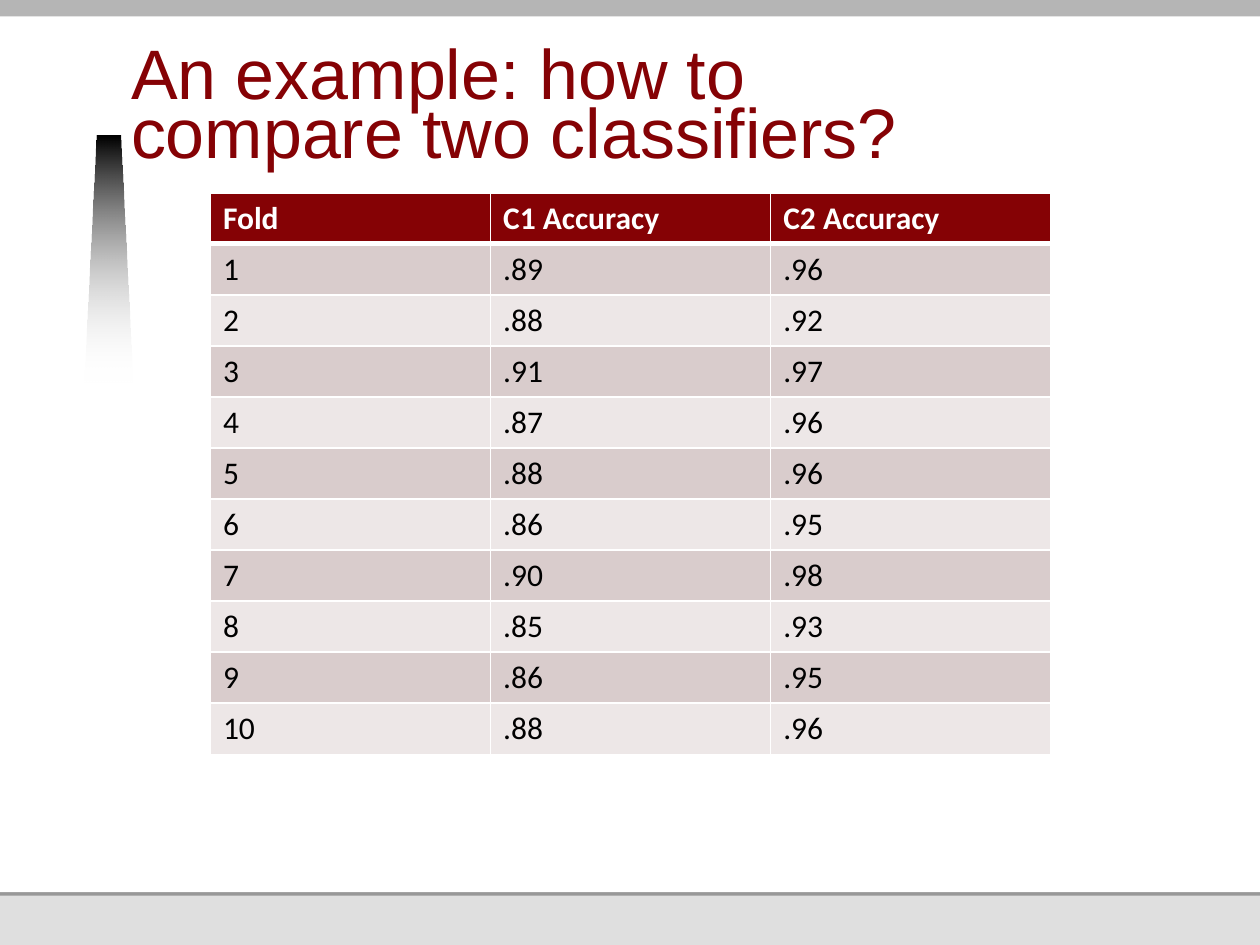
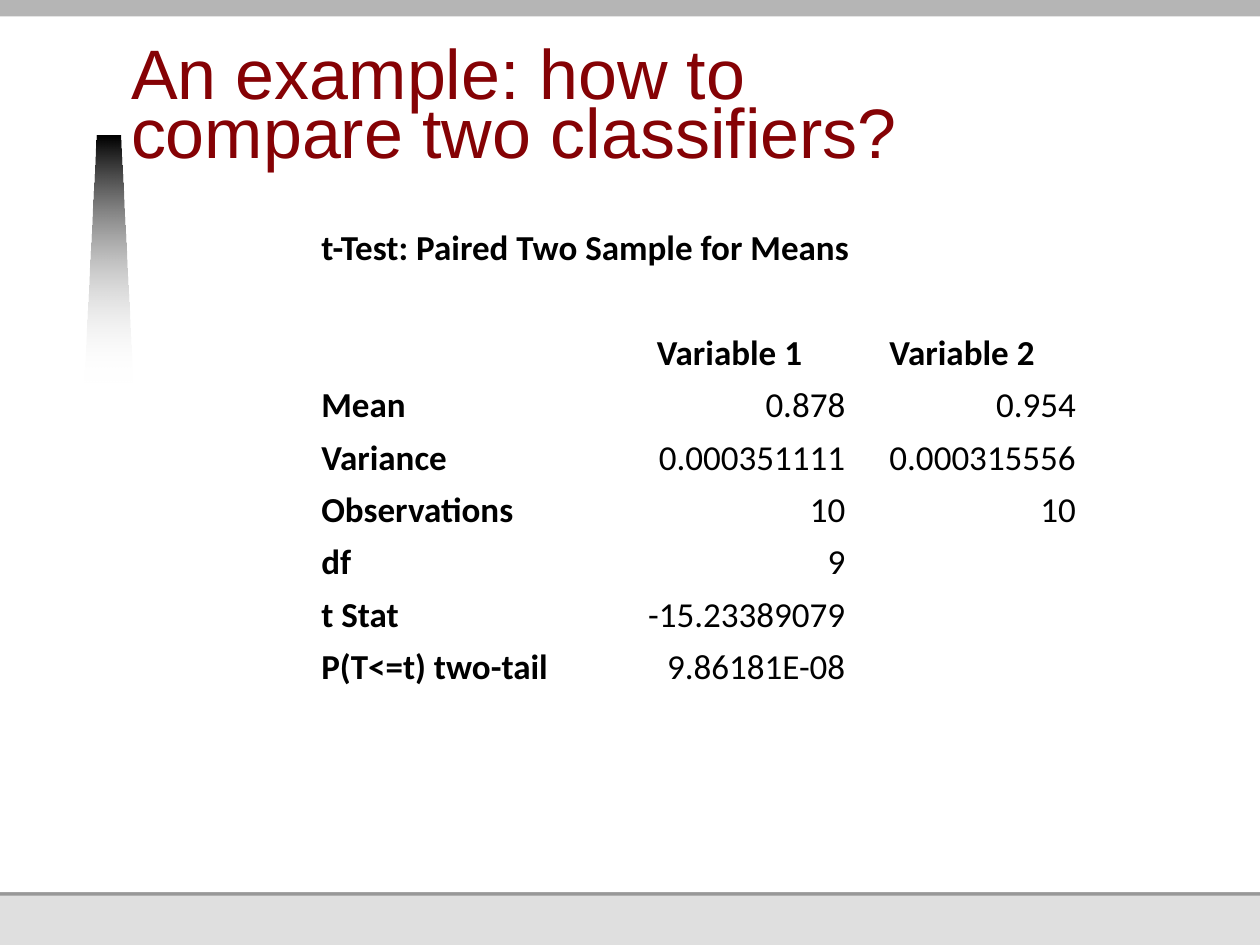
from dataclasses import dataclass

from lxml.etree import SubElement
from pptx import Presentation
from pptx.dml.color import RGBColor
from pptx.enum.shapes import MSO_SHAPE
from pptx.enum.text import MSO_ANCHOR, PP_ALIGN
from pptx.oxml.ns import qn
from pptx.util import Inches, Pt


@dataclass(frozen=True)
class Theme:
    """Colours, fonts and type sizes of the deck."""
    accent: str = "850205"
    text: str = "000000"
    paper: str = "FFFFFF"
    footer: str = "DFDFDF"
    rule: str = "989898"
    top_band: str = "B5B5B5"
    odd_row: str = "D9CCCC"
    even_row: str = "EDE7E7"
    title_font: str = "Arial"
    body_font: str = "Calibri"
    title_size: int = 40
    title_leading: int = 34
    fold_size: int = 18
    test_size: int = 20


THEME = Theme()
PLAIN_TABLE = "{2D5ABB26-0587-4C30-8999-92F81FD0307C}"
TITLE = "An example: how to compare two classifiers?"
FOLD_HEADER = ("Fold", "C1 Accuracy", "C2 Accuracy")
FOLD_ACCURACIES = (
    (".89", ".96"), (".88", ".92"), (".91", ".97"), (".87", ".96"), (".88", ".96"),
    (".86", ".95"), (".90", ".98"), (".85", ".93"), (".86", ".95"), (".88", ".96"),
)
TEST_ROWS = (
    ("t-Test: Paired Two Sample for Means", "", ""),
    ("", "", ""),
    ("", "Variable 1", "Variable 2"),
    ("Mean", "0.878", "0.954"),
    ("Variance", "0.000351111", "0.000315556"),
    ("Observations", "10", "10"),
    ("df", "9", ""),
    ("t Stat", "-15.23389079", ""),
    ("P(T<=t) two-tail", "9.86181E-08", ""),
)
TEST_HEADER_ROW = 2


def colour(code):
    """Turn a hex code into a colour."""
    return RGBColor.from_string(code)


def lengths(box):
    """Turn a box given in inches into lengths."""
    return [Inches(value) for value in box]


def style_font(font, name, size, code, bold=False):
    """Set the look of a font."""
    font.name, font.size, font.bold = name, Pt(size), bold
    font.color.rgb = colour(code)


def add_band(page, box, code):
    """Add a flat rectangle without outline."""
    band = page.shapes.add_shape(MSO_SHAPE.RECTANGLE, *lengths(box))
    band.shadow.inherit = False
    band.fill.solid()
    band.fill.fore_color.rgb = colour(code)
    band.line.fill.background()


def add_beam(page, box):
    """Add the tapering beam that fades out downwards."""
    left, top, width, height = box
    inset = width / 4
    corners = [
        (left + inset, top), (left + width - inset, top),
        (left + width, top + height), (left, top + height),
    ]
    points = [tuple(lengths(corner)) for corner in corners]
    builder = page.shapes.build_freeform(*points[0])
    builder.add_line_segments(points[1:], close=True)
    beam = builder.convert_to_shape()
    beam.shadow.inherit = False
    beam.line.fill.background()
    beam.fill.gradient()
    beam.fill.gradient_angle = 270
    for stop, code in zip(beam.fill.gradient_stops, (THEME.text, THEME.paper)):
        stop.color.rgb = colour(code)
    faded = list(beam.element.iter(qn("a:srgbClr")))[-1]
    SubElement(faded, qn("a:alpha"), val="0")


def add_title(page, box, text):
    """Add the slide title, resting on the bottom of its box."""
    frame = page.shapes.add_textbox(*lengths(box)).text_frame
    frame.word_wrap = True
    frame.vertical_anchor = MSO_ANCHOR.BOTTOM
    frame.margin_left = frame.margin_right = frame.margin_top = 0
    frame.margin_bottom = Inches(0.05)
    frame.text = text
    para = frame.paragraphs[0]
    para.line_spacing = Pt(THEME.title_leading)
    style_font(para.font, THEME.title_font, THEME.title_size, THEME.accent)


def add_page(deck):
    """Add a slide with the shared bands, beam and title."""
    page = deck.slides.add_slide(deck.slide_layouts[6])
    add_band(page, (0, 0, 10, 7.5), THEME.footer)
    add_band(page, (0, 1.78, 10, 5.33), THEME.rule)
    add_band(page, (0, 0, 10, 7.08), THEME.paper)
    add_beam(page, (0.67, 1.08, 0.38, 1.96))
    add_band(page, (0, 0, 10, 0.13), THEME.top_band)
    add_title(page, (1.04, 0.34, 6.87, 1.08), TITLE)
    return page


def add_plain_table(page, box, rows):
    """Add an unstyled table with even rows and fill in its wording."""
    holder = page.shapes.add_table(len(rows), len(rows[0]), *lengths(box))
    next(holder.element.iter(qn("a:tableStyleId"))).text = PLAIN_TABLE
    table = holder.table
    table.first_row = table.horz_banding = False
    for line, values in zip(table.rows, rows):
        line.height = Inches(box[3] / len(rows))
        for cell, value in zip(line.cells, values):
            cell.text = value
    return table


def set_borders(cell, bottom_width):
    """Draw white borders around a cell."""
    properties = cell._tc.get_or_add_tcPr()
    for side, width in (("L", 1), ("R", 1), ("T", 1), ("B", bottom_width)):
        line = SubElement(properties, qn(f"a:ln{side}"), w=str(Pt(width)))
        fill = SubElement(line, qn("a:solidFill"))
        SubElement(fill, qn("a:srgbClr"), val=THEME.paper)


def add_fold_table(page, box):
    """Add the banded table of accuracies per fold."""
    folds = [(str(number), *pair) for number, pair in enumerate(FOLD_ACCURACIES, 1)]
    table = add_plain_table(page, box, [FOLD_HEADER, *folds])
    for index, line in enumerate(table.rows):
        header = index == 0
        band = THEME.odd_row if index % 2 else THEME.even_row
        for cell in line.cells:
            set_borders(cell, 3 if header else 1)
            cell.fill.solid()
            cell.fill.fore_color.rgb = colour(THEME.accent if header else band)
            style_font(cell.text_frame.paragraphs[0].font, THEME.body_font, THEME.fold_size,
                       THEME.paper if header else THEME.text, header)


def add_test_table(page, box):
    """Add the open table of t-test results."""
    table = add_plain_table(page, box, TEST_ROWS)
    for column, width in zip(table.columns, (2.32, 1.86, 1.83)):
        column.width = Inches(width)
    table.cell(0, 0).merge(table.cell(0, 2))
    for row, line in enumerate(table.rows):
        for column, cell in enumerate(line.cells):
            cell.fill.background()
            cell.vertical_anchor = MSO_ANCHOR.BOTTOM
            cell.margin_left = cell.margin_right = cell.margin_top = Inches(0.01)
            cell.margin_bottom = 0
            para = cell.text_frame.paragraphs[0]
            if column:
                para.alignment = PP_ALIGN.CENTER if row == TEST_HEADER_ROW else PP_ALIGN.RIGHT
            bold = column == 0 or row <= TEST_HEADER_ROW
            style_font(para.font, THEME.body_font, THEME.test_size, THEME.text, bold)


def main():
    """Build and save the deck."""
    deck = Presentation()
    deck.slide_width, deck.slide_height = Inches(10), Inches(7.5)
    add_fold_table(add_page(deck), (1.67, 1.53, 6.67, 4.46))
    add_test_table(add_page(deck), (2.54, 1.73, 6.01, 3.74))
    deck.save("out.pptx")


if __name__ == "__main__":
    main()
